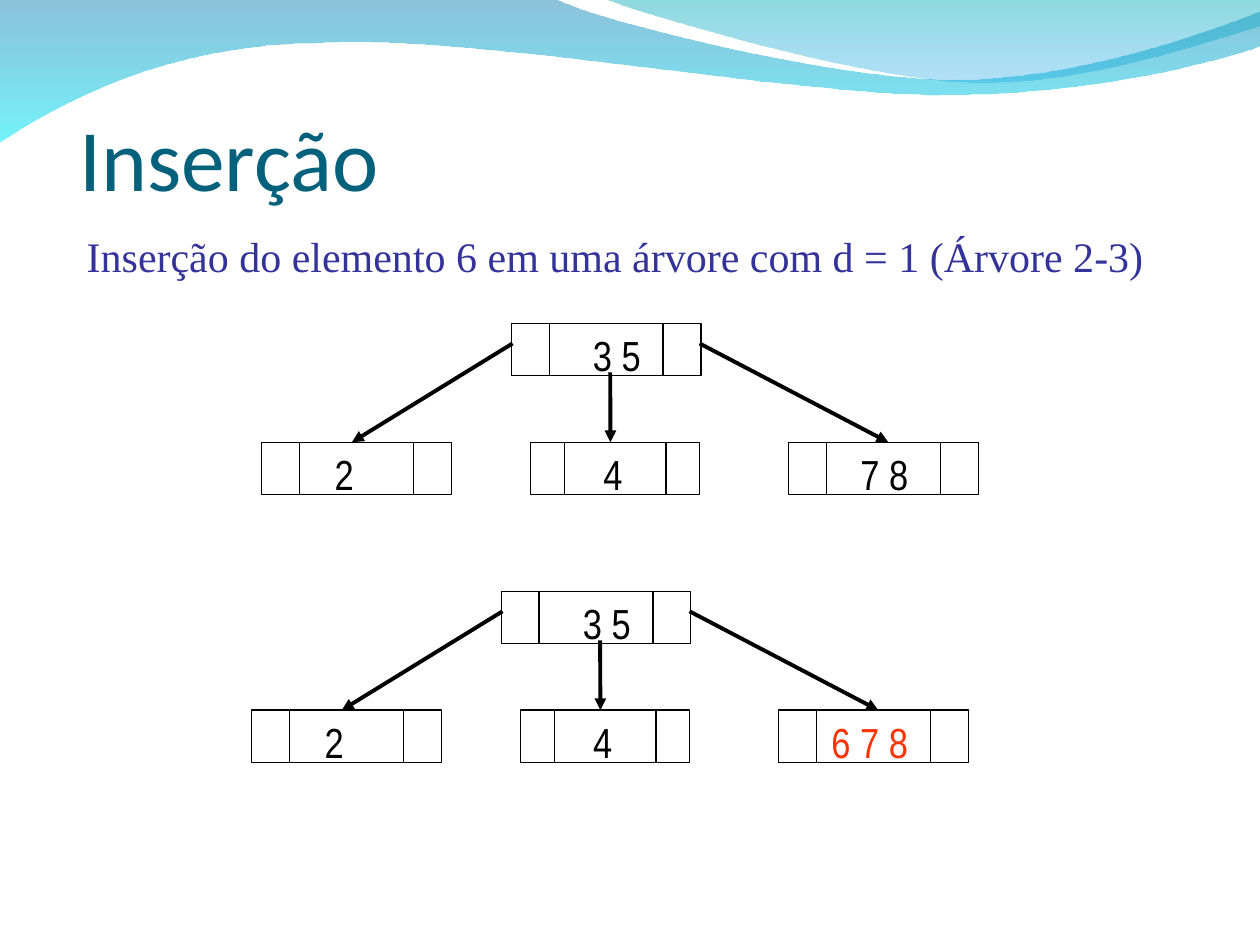
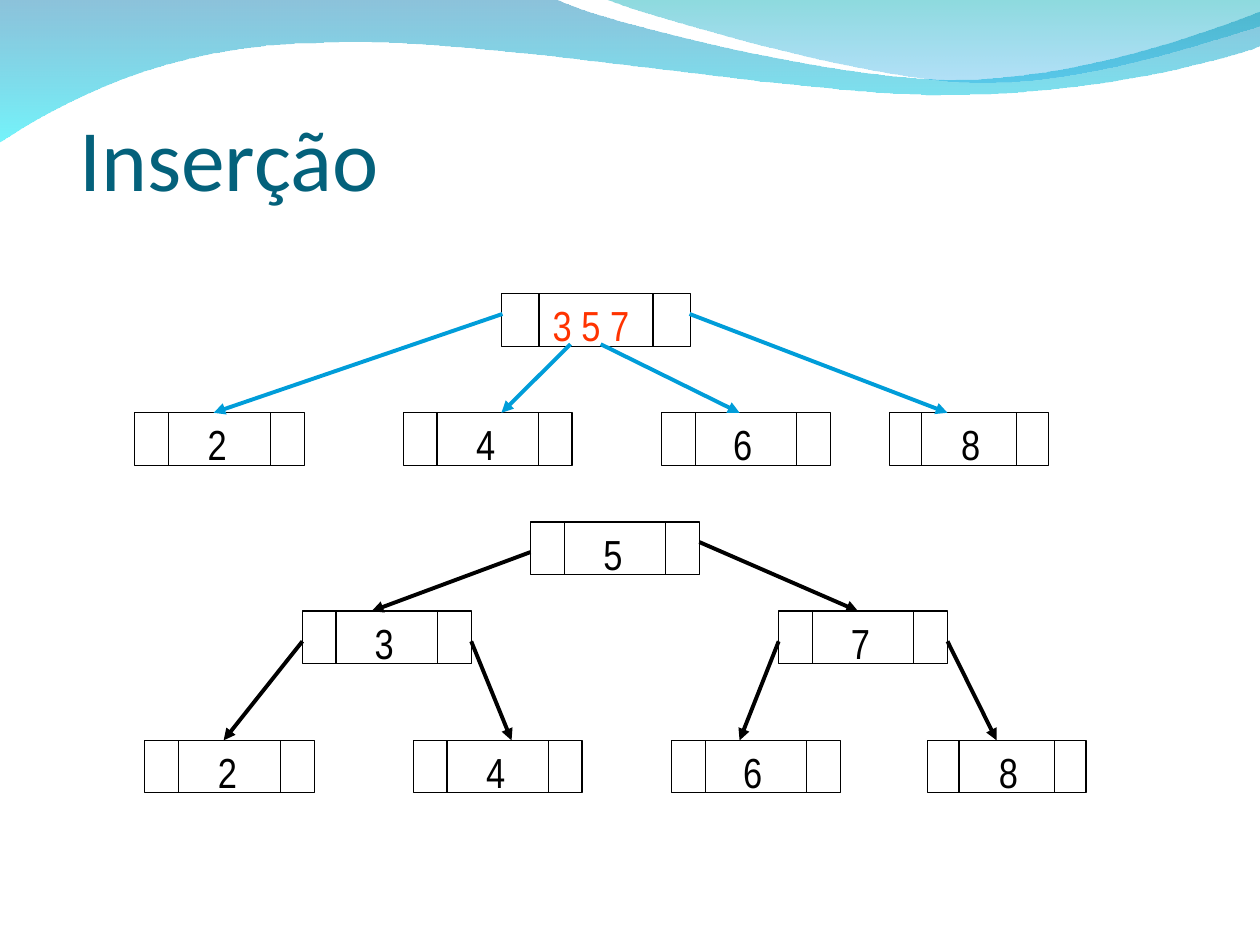
from dataclasses import dataclass, replace
from typing import Any

from lxml.etree import SubElement
from pptx import Presentation
from pptx.dml.color import RGBColor as RGB
from pptx.enum.shapes import MSO_CONNECTOR as Connector, MSO_SHAPE as Shape
from pptx.enum.text import MSO_ANCHOR as Anchor, MSO_AUTO_SIZE as AutoSize, PP_ALIGN as Align
from pptx.oxml.ns import qn
from pptx.util import Emu, Inches, Pt

Point = tuple[float, float]

# Slide size and a grid of square cells
WIDTH, HEIGHT = Inches(10), Inches(7.5)
COLS, ROWS = 100, 75
TITLE_ONLY = 5


@dataclass(frozen=True)
class Theme:
    title: RGB = RGB.from_string("04617B")
    subtitle: RGB = RGB.from_string("333399")
    ink: RGB = RGB.from_string("000000")
    changed: RGB = RGB.from_string("FF3300")
    split: RGB = RGB.from_string("009DD9")
    title_font: str = "Calibri"
    subtitle_font: str = "Times New Roman"
    key_font: str = "Arial Narrow"
    title_size: float = 50
    text_size: float = 24
    thin: float = 0.75
    thick: float = 2.25


THEME = Theme()


@dataclass(frozen=True)
class Node:
    """A box of keys between two pointer cells, in grid units."""
    keys: str
    x: float
    y: float
    w: float = 13.4
    label_dx: float = 4.8
    label_w: float = 7.9
    color: RGB = THEME.ink

    def moved(self, dx: float, dy: float) -> "Node":
        return replace(self, x=self.x + dx, y=self.y + dy)


@dataclass(frozen=True)
class Link:
    """An arrow from a point of the parent to the top edge of the child."""
    parent: Node
    child: Node
    exit: Point
    enter: float
    color: RGB = THEME.ink


@dataclass(frozen=True)
class Wave:
    """An outline of cubic curves and lines with a two-colour fade."""
    start: Point
    steps: list[tuple[Point, ...]]
    fade: list[tuple[str, int]]


NODE_H = 4.16
LABEL_H = 5
DIVIDERS = (0.2, 0.8)

WAVES = [
    Wave((0, -0.1),
         [((44, -0.1),),
          ((47.6, 1.7), (66.4, 6.3), (75.8, 6.3)),
          ((85.3, 6.3), (95.8, 2.6), (100, 0.9)),
          ((100.1, 3.6),),
          ((98.3, 4.4), (87, 7.6), (74.6, 7.5)),
          ((62.2, 7.5), (38.2, 2.8), (25.7, 3.4)),
          ((12.9, 3.5), (4.6, 8.3), (-0.1, 11.3))],
         [("0079AF", 45), ("00EBF8", 55)]),
    Wave((47.9, -0.1),
         [((50.9, 1.1), (68.2, 6.2), (76.9, 6.5)),
          ((85.6, 6.9), (96.1, 3.2), (100, 2.1)),
          ((100, 0),)],
         [("00ADB6", 45), ("009BE5", 30)]),
]


def gx(cols: float) -> Emu:
    return Emu(round(WIDTH * cols / COLS))


def gy(rows: float) -> Emu:
    return Emu(round(HEIGHT * rows / ROWS))


def place(x: float, y: float, w: float, h: float) -> tuple[Emu, Emu, Emu, Emu]:
    return gx(x), gy(y), gx(w), gy(h)


def assign(target: Any, values: dict[str, Any]) -> None:
    for name, value in values.items():
        setattr(target, name, value)


def style_run(r: Any, font: str, size: float, color: RGB) -> None:
    assign(r.font, {"name": font, "size": Pt(size), "bold": False})
    r.font.color.rgb = color


# Shared background
def bend(sp: Any, steps: list[tuple[Point, ...]]) -> None:
    """Turn the straight segments that have control points into cubic curves."""
    for segment, controls in zip(list(sp.element.iter(qn("a:lnTo"))), steps):
        if len(controls) == 1:
            continue
        curve = SubElement(segment.getparent(), qn("a:cubicBezTo"))
        for x, y in controls:
            SubElement(curve, qn("a:pt"), x=str(gx(x) - sp.left), y=str(gy(y) - sp.top))
        segment.getparent().replace(segment, curve)


def add_wave(s: Any, wave: Wave) -> Any:
    builder = s.shapes.build_freeform(gx(wave.start[0]), gy(wave.start[1]))
    ends = [controls[-1] for controls in wave.steps]
    builder.add_line_segments([(gx(x), gy(y)) for x, y in ends], close=True)
    sp = builder.convert_to_shape()
    bend(sp, wave.steps)
    sp.shadow.inherit = False
    sp.line.fill.background()
    sp.fill.gradient()
    sp.fill.gradient_angle = 270
    for stop, (color, _) in zip(sp.fill.gradient_stops, wave.fade):
        stop.color.rgb = RGB.from_string(color)
    for clr, (_, opacity) in zip(sp.element.iter(qn("a:srgbClr")), wave.fade):
        SubElement(clr, qn("a:alpha"), val=str(opacity * 1000))
    return sp


def set_background(s: Any) -> None:
    """Put the waves on the layout, behind its placeholders."""
    tree = s.slide_layout.shapes.element
    for i, wave in enumerate(WAVES):
        tree.insert(2 + i, add_wave(s, wave).element)


# Text
def set_title(s: Any, text: str) -> None:
    sp = s.shapes.title
    sp.left, sp.top, sp.width, sp.height = place(6.3, 3.4, 87.5, 13.2)
    tf = sp.text_frame
    assign(tf, {"vertical_anchor": Anchor.BOTTOM, "auto_size": AutoSize.NONE,
                "margin_left": 0, "margin_right": 0,
                "margin_top": Inches(0.05), "margin_bottom": 0})
    p = tf.paragraphs[0]
    p.alignment = Align.LEFT
    r = p.add_run()
    r.text = text
    style_run(r, THEME.title_font, THEME.title_size, THEME.title)


def add_text(s: Any, text: str, box: tuple[float, float, float, float],
             font: str, color: RGB) -> None:
    tf = s.shapes.add_textbox(*place(*box)).text_frame
    assign(tf, {"word_wrap": True, "auto_size": AutoSize.SHAPE_TO_FIT_TEXT})
    r = tf.paragraphs[0].add_run()
    r.text = text
    style_run(r, font, THEME.text_size, color)


# Tree parts
def add_line(shapes: Any, start: Point, end: Point, color: RGB,
             weight: float, arrow: bool = False) -> None:
    c = shapes.add_connector(Connector.STRAIGHT, gx(start[0]), gy(start[1]),
                             gx(end[0]), gy(end[1]))
    c.line.color.rgb = color
    c.line.width = Pt(weight)
    props = c.element.spPr
    if arrow:
        SubElement(props.find(qn("a:ln")), qn("a:tailEnd"), type="triangle")
    SubElement(props, qn("a:effectLst"))


def add_node(s: Any, node: Node) -> None:
    group = s.shapes.add_group_shape().shapes
    sp = group.add_shape(Shape.RECTANGLE, *place(node.x, node.y, node.w, NODE_H))
    sp.shadow.inherit = False
    sp.fill.background()
    sp.line.color.rgb = THEME.ink
    sp.line.width = Pt(THEME.thin)
    for share in DIVIDERS:
        x = node.x + share * node.w
        add_line(group, (x, node.y), (x, node.y + NODE_H), THEME.ink, THEME.thin)
    add_text(s, node.keys, (node.x + node.label_dx, node.y, node.label_w, LABEL_H),
             THEME.key_font, node.color)


def add_tree(s: Any, nodes: list[Node], links: list[Link]) -> None:
    for node in nodes:
        add_node(s, node)
    for link in links:
        start = (link.parent.x + link.exit[0], link.parent.y + link.exit[1])
        end = (link.child.x + link.enter, link.child.y)
        add_line(s.shapes, start, end, link.color, THEME.thick, arrow=True)


# Slide 1: the tree before and after the new key
def add_insertion_tree(s: Any, dx: float, dy: float, right: Node) -> None:
    root = Node("3 5", 40.58, 25.66, 15.05, 5.5, 12.6)
    leaves = [Node("2", 20.78, 35.1, 15.05), Node("4", 42.1, 35.1, 13.45), right]
    root, *leaves = [node.moved(dx, dy) for node in (root, *leaves)]
    exits = ((0.1, 1.6), (7.85, 3.9), (14.95, 1.6))
    links = [Link(root, leaf, leave, enter)
             for leaf, leave, enter in zip(leaves, exits, (7.15, 6.35, 7.9))]
    add_tree(s, [root, *leaves], links)


def fill_insertion(s: Any) -> None:
    add_text(s, "Inserção do elemento 6 em uma árvore com d = 1 (Árvore 2-3)",
             (5.9, 17.8, 88.3, 5), THEME.subtitle_font, THEME.subtitle)
    right = Node("7 8", 62.6, 35.1, 15.05, 4.7)
    add_insertion_tree(s, 0, 0, right)
    overfull = replace(right, keys="6 7 8", label_dx=3.2, label_w=9.5,
                       color=THEME.changed)
    add_insertion_tree(s, -0.8, 21.26, overfull)


# Slide 2: the overfull root and the tree after the split
def fill_split(s: Any) -> None:
    leaves = [Node("2", 10.65, 32.76, 13.5, 4.85), Node("4", 32, 32.76),
              Node("6", 52.5, 32.76, label_dx=4.7, label_w=5.5),
              Node("8", 70.6, 32.76, 12.6, label_dx=4.7, label_w=4.7)]
    full = Node("3 5 7", 39.78, 23.32, 15.05, 3.1, 12.6, THEME.changed)
    exits = ((0.1, 1.6), (5.5, 4), (7.9, 4), (14.95, 1.6))
    add_tree(s, [full, *leaves],
             [Link(full, leaf, leave, enter, THEME.split)
              for leaf, leave, enter in zip(leaves, exits, (6.3, 7.8, 6.2, 4.6))])

    low = [leaf.moved(3 if leaf.keys == "8" else 0.8, 26) for leaf in leaves]
    root = Node("5", 42.1, 41.42, label_w=5.5)
    left, right = (Node(key, x, 48.5, label_dx=4.75, label_w=5.5)
                   for key, x in (("3", 24), ("7", 61.8)))
    west, east = (0, 2.4), (root.w, 2.4)
    links = [Link(root, left, west, 5.5), Link(root, right, (root.w, 1.6), 6.3)]
    links += [Link(parent, leaf, leave, enter) for parent, leaf, leave, enter in zip(
        (left, left, right, right), low, (west, east) * 2, (6.3, 7.8, 5.4, 5.5))]
    add_tree(s, [root, left, right, *low], links)


def main() -> None:
    prs = Presentation()
    prs.slide_width, prs.slide_height = WIDTH, HEIGHT
    for i, fill in enumerate((fill_insertion, fill_split)):
        s = prs.slides.add_slide(prs.slide_layouts[TITLE_ONLY])
        if i == 0:
            set_background(s)
        set_title(s, "Inserção")
        fill(s)
    prs.save("out.pptx")


if __name__ == "__main__":
    main()
